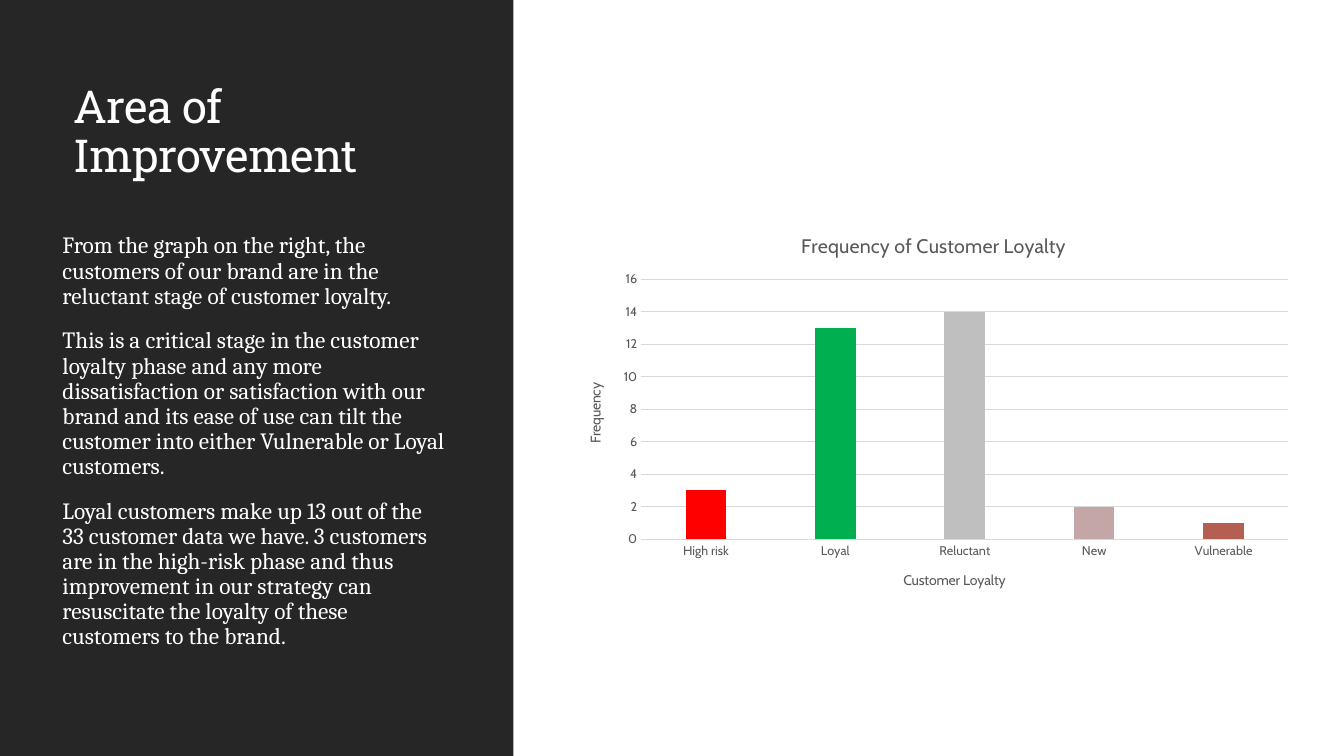
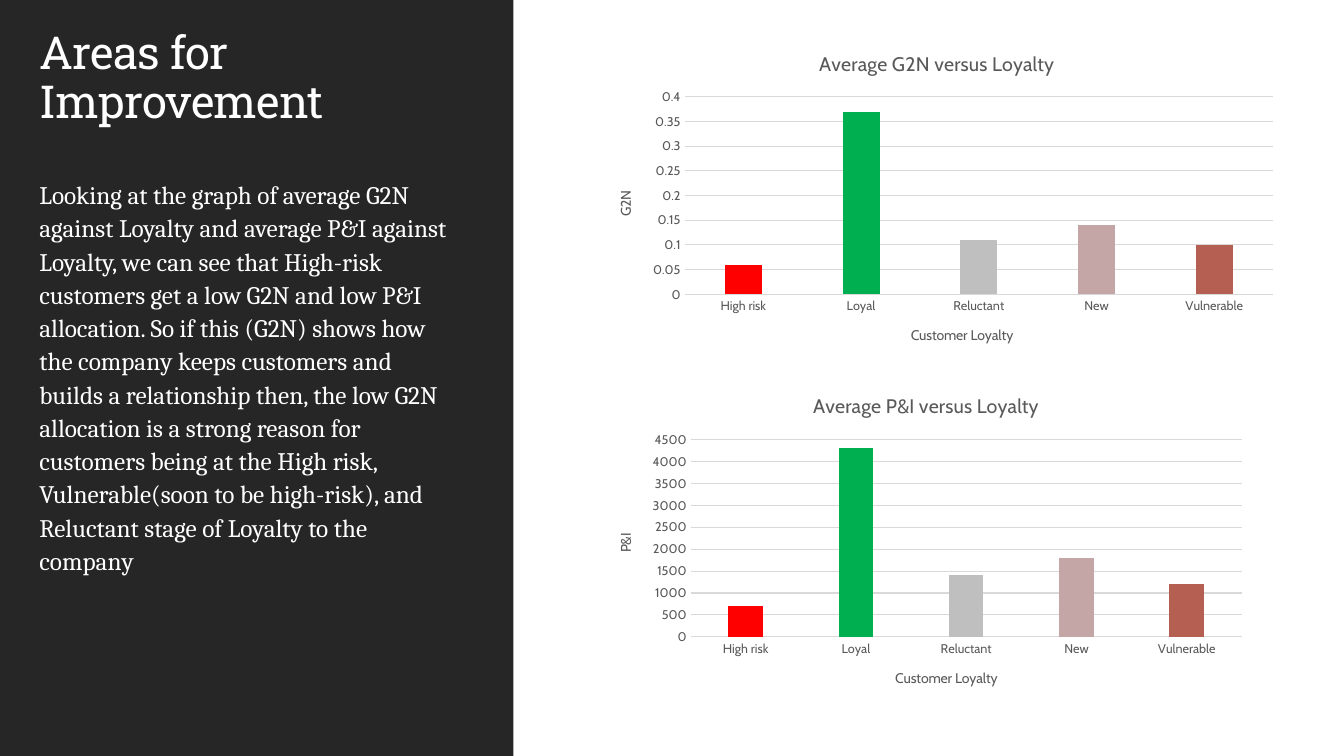
from pptx import Presentation
from pptx.chart.data import CategoryChartData
from pptx.dml.color import RGBColor
from pptx.enum.chart import XL_CHART_TYPE, XL_TICK_MARK
from pptx.enum.shapes import MSO_SHAPE
from pptx.enum.text import MSO_ANCHOR, MSO_AUTO_SIZE, PP_ALIGN
from pptx.oxml import parse_xml
from pptx.oxml.ns import nsdecls, qn
from pptx.util import Inches, Pt

# Colours and fonts
DARK = RGBColor(0x26, 0x26, 0x26)
WHITE = RGBColor(0xFF, 0xFF, 0xFF)
GREY = RGBColor(0x59, 0x59, 0x59)
RULE = RGBColor(0xD9, 0xD9, 0xD9)
ORANGE = RGBColor(0xEC, 0x70, 0x16)
STAGES = {
    "High risk": RGBColor(0xFF, 0x00, 0x00),
    "Loyal": RGBColor(0x00, 0xB0, 0x50),
    "Reluctant": RGBColor(0xBF, 0xBF, 0xBF),
    "New": RGBColor(0xC4, 0xA6, 0xA6),
    "Vulnerable": RGBColor(0xB5, 0x5F, 0x53),
}
HEAD, BODY, CHART = "Roboto Slab", "Cambria", "Cabin"


def write(frame, *lines, size, font, color, line=None, before=0, after=0,
          track=None, plain=False, align=None):
    """Fill a text frame, one paragraph for each line."""
    for i, text in enumerate(lines):
        para = frame.paragraphs[0] if i == 0 else frame.add_paragraph()
        run = para.add_run()
        run.text = text
        run.font.size, run.font.name = Pt(size), font
        run.font.bold = False
        run.font.color.rgb = color
        if align is not None:
            para.alignment = align
        if line:
            para.line_spacing = line
            para.space_before = Pt(before if i else 0)
            para.space_after = Pt(after)
        if track:
            run.font._element.set("spc", str(int(track * 100)))
        if plain:
            props = para._p.get_or_add_pPr()
            props.set("marL", "0")
            props.set("indent", "0")
            props.append(parse_xml(f"<a:buNone {nsdecls('a')}/>"))


def place(node, index, inner=False, **share):
    """Pin a chart part; shares are of the chart's own size."""
    for old in node.findall(qn("c:layout")):
        node.remove(old)
    tags = '<c:layoutTarget val="inner"/>' if inner else ""
    tags += "".join(f'<c:{k}Mode val="edge"/>' for k in "xy")
    tags += "".join(f'<c:{k} val="{v:.4f}"/>' for k, v in share.items())
    node.insert(index, parse_xml(
        f"<c:layout {nsdecls('c')}><c:manualLayout>{tags}"
        "</c:manualLayout></c:layout>"))


class Deck:
    """Holds the style and the current slide; boxes are in % of the slide."""

    def __init__(self):
        self.file = Presentation()
        self.file.slide_width = Inches(13.33)
        self.file.slide_height = Inches(7.5)
        self.base = self.file.slide_layouts[1]
        self.page = None

    def box(self, left, top, width, height):
        wide, high = self.file.slide_width, self.file.slide_height
        return [int(share * full / 100) for share, full in
                ((left, wide), (top, high), (width, wide), (height, high))]

    def slide(self):
        first = self.page is None
        self.page = self.file.slides.add_slide(self.base)
        if first:
            self.panel()

    def panel(self):
        # The dark side panel lives on the layout
        side = self.page.shapes.add_shape(
            MSO_SHAPE.RECTANGLE, *self.box(0, 0, 38.2, 100))
        side.shadow.inherit = False
        side.fill.solid()
        side.fill.fore_color.rgb = DARK
        side.line.fill.background()
        self.base.shapes.element.insert(2, side.element)

    def frame(self, index, box, anchor):
        holder = self.page.placeholders[index]
        (holder.left, holder.top,
         holder.width, holder.height) = self.box(*box)
        frame = holder.text_frame
        frame.word_wrap = True
        frame.auto_size = MSO_AUTO_SIZE.NONE
        frame.vertical_anchor = anchor
        return frame

    def title(self, text, box):
        write(self.frame(0, box, MSO_ANCHOR.BOTTOM), text, size=32.4,
              font=HEAD, color=WHITE, line=0.9, track=-0.5,
              align=PP_ALIGN.LEFT)

    def body(self, lines, box, size, line):
        write(self.frame(1, box, MSO_ANCHOR.TOP), *lines, size=size,
              font=BODY, color=WHITE, line=line, before=12, after=2,
              plain=True, align=PP_ALIGN.LEFT)

    def chart(self, title, label, vals, box, start, inset, top, step):
        """start: left of the title; inset: left of the plot, in inches."""
        data = CategoryChartData()
        data.categories = list(STAGES)
        data.add_series("Series 1", vals)
        spot = self.box(*box)
        chart = self.page.shapes.add_chart(
            XL_CHART_TYPE.COLUMN_CLUSTERED, *spot, data).chart
        chart.has_legend = False
        chart.font.size, chart.font.name = Pt(10), CHART

        # Bars, one colour for each stage
        plot = chart.plots[0]
        plot.gap_width, plot.overlap = 219, -27
        plot.vary_by_categories = False
        bars = plot.series[0]
        bars.format.fill.solid()
        bars.format.fill.fore_color.rgb = ORANGE
        for i, color in enumerate(STAGES.values()):
            fill = bars.points[i].format.fill
            fill.solid()
            fill.fore_color.rgb = color

        # Axes
        across, up = chart.category_axis, chart.value_axis
        for axis in (across, up):
            axis.major_tick_mark = axis.minor_tick_mark = XL_TICK_MARK.NONE
            font = axis.tick_labels.font
            font.size, font.name = Pt(9), CHART
            font.color.rgb = GREY
        up.minimum_scale, up.maximum_scale, up.major_unit = 0, top, step
        up.format.line.fill.background()
        up.has_major_gridlines = True
        for line in (across.format.line, up.major_gridlines.format.line):
            line.color.rgb, line.width = RULE, Pt(0.75)

        # Plot area and titles, pinned at fixed distances from the edges
        wide, high = (length / Inches(1) for length in spot[2:])
        span, rise = wide - inset - 0.14, high - 0.61 - 0.7
        place(chart._chartSpace.chart.plotArea, 0, inner=True,
              x=inset / wide, y=0.61 / high, w=span / wide, h=rise / high)
        mid = 0.64 + rise / 2
        for part, text, size, left, drop in (
                (chart.chart_title, title, 14, start, 0.11),
                (across.axis_title, "Customer Loyalty", 10,
                 wide / 2 - 0.33, high - 0.42),
                (up.axis_title, label, 10, 0.17, mid - 0.035 * len(label))):
            write(part.text_frame, text, size=size, font=CHART, color=GREY)
            place(part.element, 1, x=left / wide, y=drop / high)
        turn = up.axis_title.text_frame._txBody.find(qn("a:bodyPr"))
        turn.set("rot", "-5400000")
        turn.set("vert", "horz")


def main():
    deck = Deck()

    # Frequency of each stage
    deck.slide()
    deck.title("Area of Improvement", (4.73, 11.47, 29.4, 13.33))
    deck.body([
        "From the graph on the right, the customers of our brand are in the "
        "reluctant stage of customer loyalty.",
        "This is a critical stage in the customer loyalty phase and any more "
        "dissatisfaction or satisfaction with our brand and its ease of use "
        "can tilt the customer into either Vulnerable or Loyal customers.",
        "Loyal customers make up 13 out of the 33 customer data we have. "
        "3 customers are in the high-risk phase and thus improvement in our "
        "strategy can resuscitate the loyalty of these customers to the "
        "brand.",
    ], (3.9, 30.27, 30.1, 58.8), size=16.6, line=0.9)
    deck.chart("Frequency of Customer Loyalty", "Frequency",
               (3, 13, 14, 2, 1), (42.08, 28.8, 54.83, 51.87),
               start=2.3, inset=0.75, top=16, step=2)

    # Averages for each stage
    deck.slide()
    deck.title("Areas for Improvement", (2.18, 6, 34.5, 11.6))
    deck.body([
        "Looking at the graph of average G2N against Loyalty and average P&I "
        "against Loyalty, we can see that High-risk customers get a low G2N "
        "and low P&I allocation. So if this (G2N) shows how the company keeps "
        "customers and builds a relationship then, the low G2N allocation is "
        "a strong reason for customers being at the High risk, "
        "Vulnerable(soon to be high-risk), and Reluctant stage of Loyalty to "
        "the company",
    ], (2.18, 22.67, 31.95, 66.4), size=18, line=1.1)
    deck.chart("Average G2N versus Loyalty", "G2N",
               (0.06, 0.37, 0.11, 0.14, 0.1), (44.33, 4.67, 51.45, 43.6),
               start=2.18, inset=0.88, top=0.4, step=0.05)
    deck.chart("Average P&I versus Loyalty", "P&I",
               (700, 4300, 1400, 1800, 1200), (44.33, 50, 49.13, 43.6),
               start=2.12, inset=0.94, top=4500, step=500)

    deck.file.save("out.pptx")


if __name__ == "__main__":
    main()
